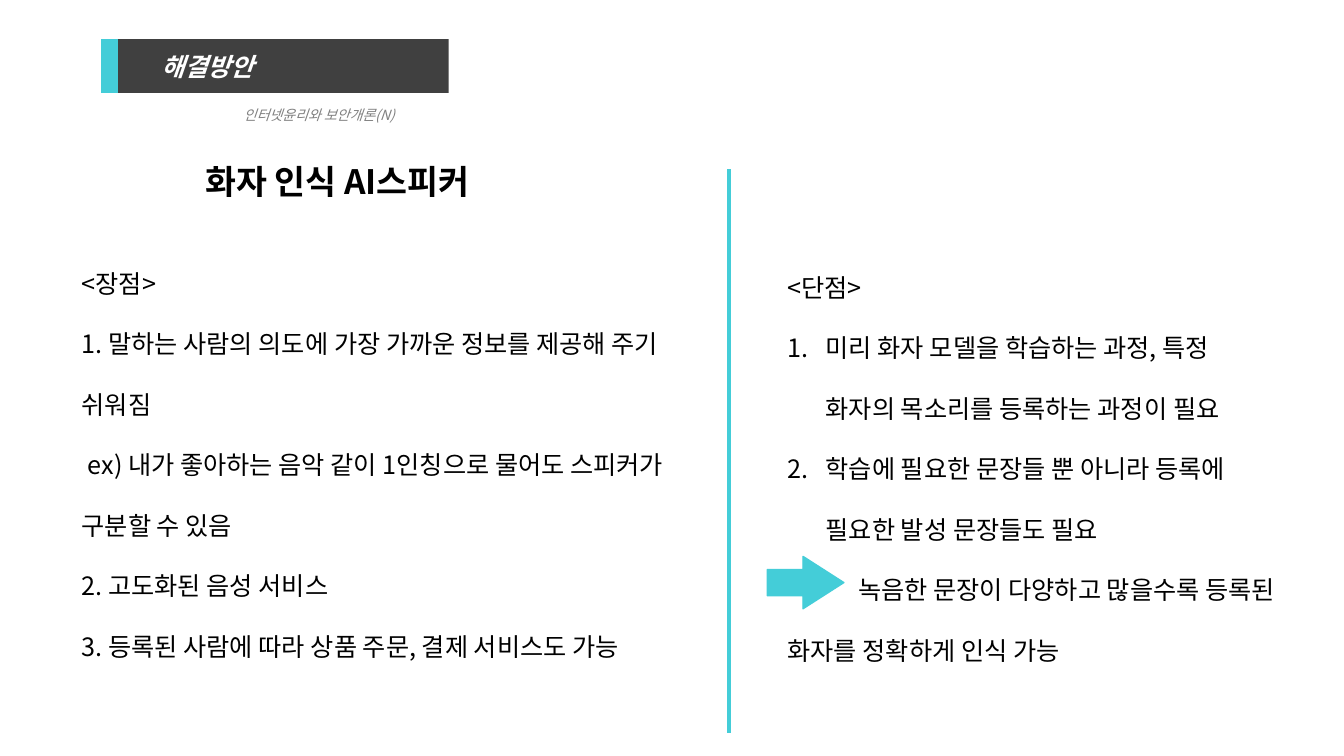
"""Build the slide on the pros and cons of speaker recognition."""
from dataclasses import dataclass

from lxml import etree
from pptx import Presentation
from pptx import util as u
from pptx.dml.color import RGBColor
from pptx.enum import shapes, text
from pptx.oxml.ns import qn


@dataclass(frozen=True)
class Theme:
    """Font, colours and type sizes."""
    font: str = "Noto Sans CJK KR"
    aqua: str = "44CDD8"
    dark: str = "404040"
    gray: str = "808080"
    black: str = "000000"
    white: str = "FFFFFF"
    small: int = 10
    body: int = 18
    head: int = 24


@dataclass(frozen=True)
class Area:
    """Left, top, width and height in percent of the slide."""
    x: float
    y: float
    w: float
    h: float


@dataclass(frozen=True)
class Style:
    """Look of all the text in one box."""
    size: int
    color: str
    bold: bool = False
    slant: bool = False
    lead: float = 1.0


@dataclass(frozen=True)
class Line:
    """One paragraph, with margin and first-line indent in inches."""
    words: str
    left: float = 0
    first: float = 0
    count: bool = False


THEME = Theme()
WIDE, HIGH = u.Inches(13.33), u.Inches(7.5)
PLAIN = Style(THEME.body, THEME.black, lead=2.0)

PROS = [
    Line("<장점>"),
    Line("1. 말하는 사람의 의도에 가장 가까운 정보를 제공해 주기 쉬워짐"),
    Line("ex) 내가 좋아하는 음악 같이 1인칭으로 물어도 스피커가 구분할 수 있음", first=0.06),
    Line("2. 고도화된 음성 서비스"),
    Line("3. 등록된 사람에 따라 상품 주문, 결제 서비스도 가능"),
]
CONS = [
    Line("<단점>"),
    Line("미리 화자 모델을 학습하는 과정, 특정 화자의 목소리를 등록하는 과정이 필요", 0.38, -0.38, True),
    Line("학습에 필요한 문장들 뿐 아니라 등록에 필요한 발성 문장들도 필요", 0.38, -0.38, True),
    Line("녹음한 문장이 다양하고 많을수록 등록된 화자를 정확하게 인식 가능", first=0.7),
]


def across(share: float) -> int:
    """Turn a percent of the slide's width into a length."""
    return int(WIDE * share / 100)


def down(share: float) -> int:
    """Turn a percent of the slide's height into a length."""
    return int(HIGH * share / 100)


def frame(area: Area) -> tuple[int, int, int, int]:
    """Give the four lengths of an area."""
    return across(area.x), down(area.y), across(area.w), down(area.h)


def place(shape, area: Area) -> None:
    """Move and size a shape."""
    shape.left, shape.top, shape.width, shape.height = frame(area)


def indent(para, line: Line) -> None:
    """Set the margins and the bullet of a paragraph."""
    props = para._p.get_or_add_pPr()
    props.set("marL", str(int(u.Inches(line.left))))
    props.set("indent", str(int(u.Inches(line.first))))
    if line.count:
        etree.SubElement(props, qn("a:buAutoNum"), type="arabicPeriod")
    else:
        etree.SubElement(props, qn("a:buNone"))


def write(shape, lines: list[Line], style: Style) -> None:
    """Fill a shape with styled paragraphs."""
    box = shape.text_frame
    box.word_wrap = True
    box.auto_size = text.MSO_AUTO_SIZE.NONE
    box.text = "\n".join(line.words for line in lines)
    for para, line in zip(box.paragraphs, lines):
        indent(para, line)
        para.alignment = text.PP_ALIGN.LEFT
        para.line_spacing = style.lead
        para.space_before = u.Pt(0)
        for run in para.runs:
            font = run.font
            font.size = u.Pt(style.size)
            font.bold, font.italic = style.bold, style.slant
            font.color.rgb = RGBColor.from_string(style.color)
            font.name = THEME.font
            etree.SubElement(run._r.get_or_add_rPr(), qn("a:ea"), typeface=THEME.font)


def banner(title) -> None:
    """Turn the title into a dark bar with an aqua edge."""
    place(title, Area(7.5, 5.2, 25.88, 7.07))
    title.fill.gradient()
    title.fill.gradient_angle = 180
    for stop, color in zip(title.fill.gradient_stops, (THEME.dark, THEME.aqua)):
        stop.position = 0.95
        stop.color.rgb = RGBColor.from_string(color)
    write(title, [Line("해결방안", left=0.5)],
          Style(THEME.body, THEME.white, bold=True, slant=True))
    title.text_frame.vertical_anchor = text.MSO_ANCHOR.MIDDLE


def label(slide, area: Area, words: str, style: Style) -> None:
    """Add a text box of one line."""
    write(slide.shapes.add_textbox(*frame(area)), [Line(words)], style)


def arrow(slide, area: Area) -> None:
    """Add the aqua arrow that points to the outcome."""
    mark = slide.shapes.add_shape(shapes.MSO_SHAPE.RIGHT_ARROW, *frame(area))
    mark.adjustments[1] = 0.78
    mark.shadow.inherit = False
    mark.fill.solid()
    mark.fill.fore_color.rgb = RGBColor.from_string(THEME.aqua)
    mark.line.color.rgb = RGBColor.from_string(THEME.aqua)
    mark.line.width = u.Pt(1)


def divide(slide, x: float, top: float, end: float) -> None:
    """Add the upright rule between the columns."""
    rule = slide.shapes.add_connector(
        shapes.MSO_CONNECTOR.STRAIGHT, across(x), down(top), across(x), down(end))
    rule.line.color.rgb = RGBColor.from_string(THEME.aqua)
    rule.line.width = u.Pt(3)
    etree.SubElement(rule._element.spPr, qn("a:effectLst"))


def main() -> None:
    """Build and save the deck."""
    deck = Presentation()
    deck.slide_width, deck.slide_height = WIDE, HIGH
    slide = deck.slides.add_slide(deck.slide_layouts.get_by_name("Two Content"))
    title, pros, cons = slide.placeholders
    banner(title)
    label(slide, Area(17.4, 12.27, 30.16, 4.67), "인터넷윤리와 보안개론(N)",
          Style(THEME.small, THEME.gray, slant=True, lead=1.5))
    label(slide, Area(14.55, 20.67, 51.09, 6.67), "화자 인식 AI스피커",
          Style(THEME.head, THEME.black, bold=True))
    place(pros, Area(5.33, 30.8, 47.49, 64.67))
    write(pros, PROS, PLAIN)
    place(cons, Area(57.84, 31.33, 38.41, 56.67))
    write(cons, CONS, PLAIN)
    arrow(slide, Area(57.09, 73.6, 5.7, 6.93))
    divide(slide, 54.24, 22.4, 96.93)
    deck.save("out.pptx")


if __name__ == "__main__":
    main()
